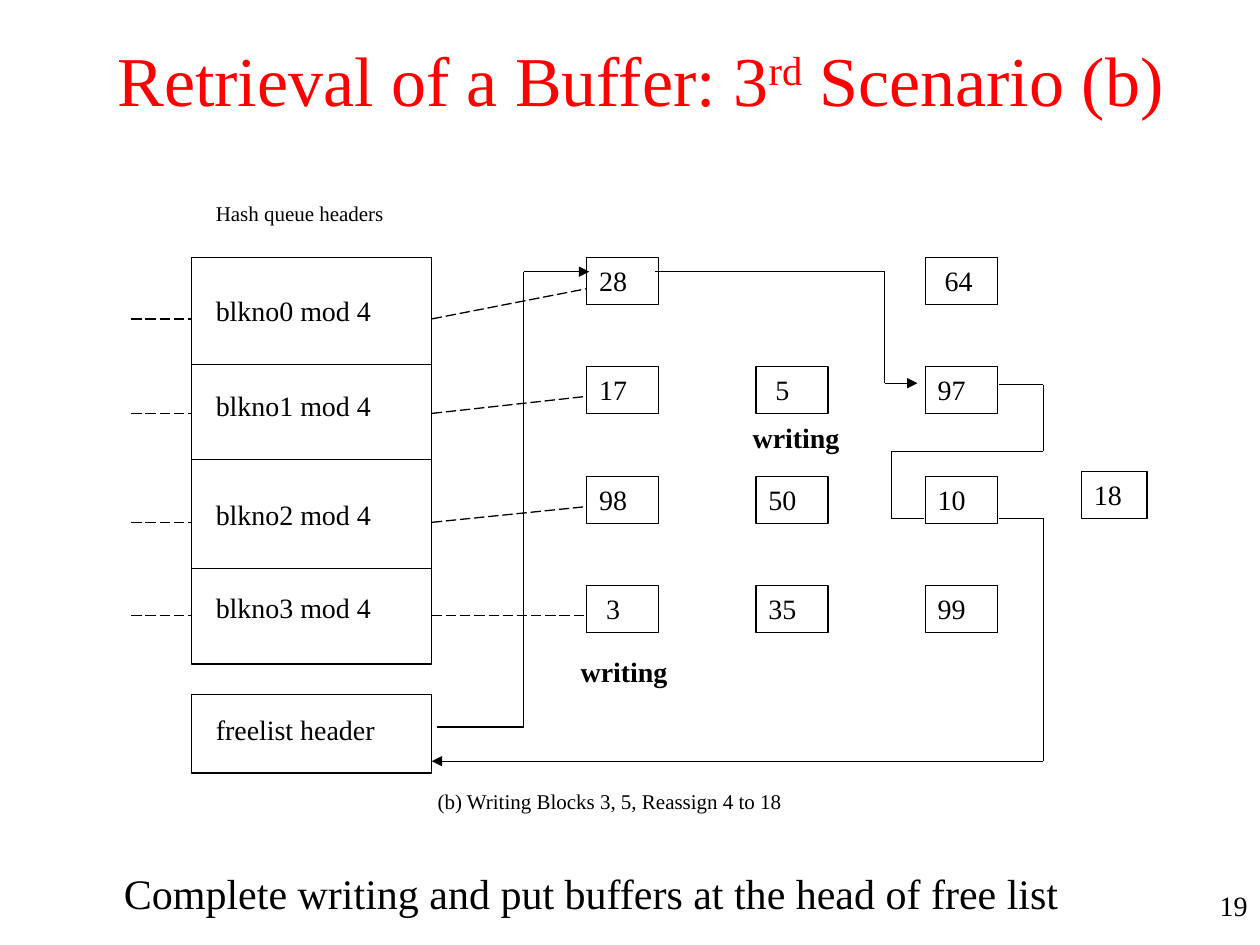
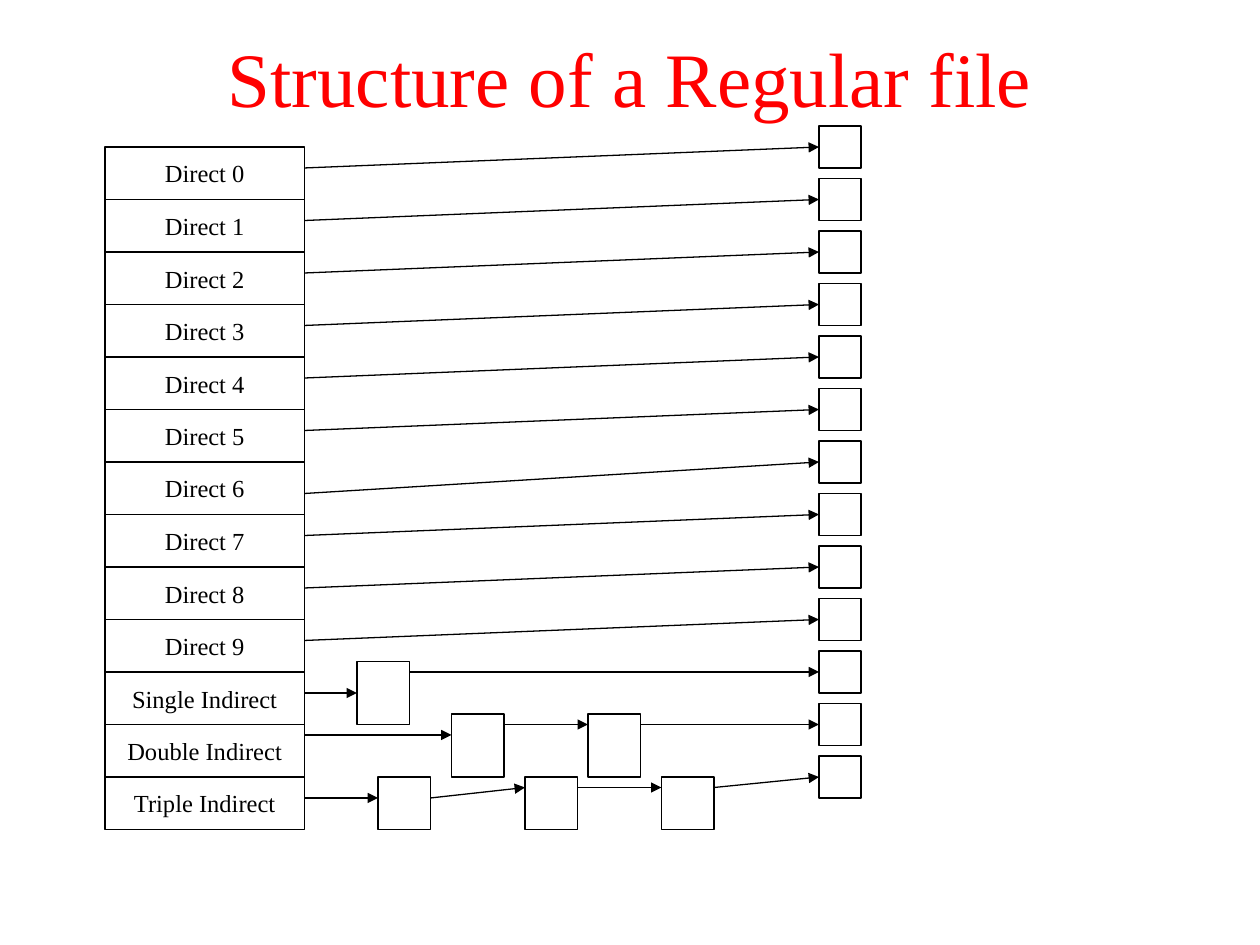
from dataclasses import dataclass

from lxml import etree
from pptx import Presentation
from pptx import util as u
from pptx.dml.color import RGBColor
from pptx.enum import dml, shapes, text
from pptx.oxml.ns import qn

EMU_PER_PX = 9525  # 96 px to the inch


@dataclass(frozen=True)
class Theme:
    font: str = "Times New Roman"
    ink: RGBColor = RGBColor(0, 0, 0)
    title_color: RGBColor = RGBColor(255, 0, 0)
    line_width: float = 0.75
    long_title: int = 40
    title: int = 44
    statement: int = 24
    label: int = 16
    entry: int = 14
    caption: int = 12


THEME = Theme()
LEFT, CENTER, RIGHT = text.PP_ALIGN.LEFT, text.PP_ALIGN.CENTER, text.PP_ALIGN.RIGHT
TOP, MIDDLE = text.MSO_ANCHOR.TOP, text.MSO_ANCHOR.MIDDLE


# Shared helpers
def px(value):
    return u.Emu(value * EMU_PER_PX)


def apply_format(target, values):
    for name, value in values.items():
        setattr(target, name, value)


def add_run(paragraph, words, size, color=THEME.ink, bold=False, baseline=0):
    run = paragraph.add_run()
    run.text = words
    apply_format(run.font, {"name": THEME.font, "size": u.Pt(size), "bold": bold})
    run.font.color.rgb = color
    if baseline:
        run.font._element.set("baseline", str(baseline * 1000))


def write(shape, words, size, align=LEFT, anchor=TOP, wrap=True, bold=False):
    apply_format(shape.text_frame, {
        "word_wrap": wrap, "vertical_anchor": anchor,
        "auto_size": text.MSO_AUTO_SIZE.NONE})
    paragraph = shape.text_frame.paragraphs[0]
    paragraph.alignment = align
    add_run(paragraph, words, size, bold=bold)


def style_line(shape):
    shape.line.color.rgb = THEME.ink
    shape.line.width = u.Pt(THEME.line_width)


# Kinds of element
def add_title(slide, box, parts, size):
    title = slide.shapes.title
    apply_format(title, dict(zip(("left", "top", "width", "height"), map(px, box))))
    apply_format(title.text_frame, {
        "word_wrap": True, "vertical_anchor": MIDDLE,
        "auto_size": text.MSO_AUTO_SIZE.NONE})
    paragraph = title.text_frame.paragraphs[0]
    paragraph.alignment = CENTER
    for words, baseline in parts:
        add_run(paragraph, words, size, THEME.title_color, baseline=baseline)


def add_text(slide, box, words, size, **layout):
    write(slide.shapes.add_textbox(*map(px, box)), words, size, **layout)


def add_box(slide, box, words="", size=THEME.label, **layout):
    shape = slide.shapes.add_shape(shapes.MSO_SHAPE.RECTANGLE, *map(px, box))
    shape.shadow.inherit = False
    shape.fill.background()
    style_line(shape)
    if words:
        write(shape, words, size, **layout)


def add_line(slide, start, end, arrow=False, dashed=False):
    connector = slide.shapes.add_connector(
        shapes.MSO_CONNECTOR.STRAIGHT, *map(px, (*start, *end)))
    style_line(connector)
    if dashed:
        connector.line.dash_style = dml.MSO_LINE.LONG_DASH
    properties = connector._element.spPr
    if arrow:
        etree.SubElement(properties.find(qn("a:ln")), qn("a:tailEnd"), type="triangle")
    etree.SubElement(properties, qn("a:effectLst"))


def add_route(slide, points, arrow=True):
    last = len(points) - 2
    for index, (start, end) in enumerate(zip(points, points[1:])):
        add_line(slide, start, end, arrow=arrow and index == last)


# Slide 1: hash queues and free list
def build_buffer_slide(slide):
    add_title(slide, (66, 0, 844, 120),
              [("Retrieval of a Buffer: 3", 0), ("rd", 30), (" Scenario (b)", 0)],
              THEME.long_title)
    add_text(slide, (915, 672, 45, 48), "19", THEME.label, align=RIGHT)

    # Queue headers with their dashed links
    left, right = 146, 329
    add_box(slide, (left, 196, right - left, 310))
    for divider in (278, 350, 433):
        add_line(slide, (left, divider), (right, divider))
    first_column, column_pitch = 447, 129
    links = [(243, 220), (315, 302), (398, 386), (469, 469)]
    for queue, (header_y, buffer_y) in enumerate(links):
        add_line(slide, (100, header_y), (left, header_y), dashed=True)
        add_line(slide, (right, header_y), (first_column, buffer_y), dashed=True)
        add_text(slide, (155, header_y - 24, 161, 36), f"blkno{queue} mod 4", THEME.label)
    add_text(slide, (155, 148, 147, 29), "Hash queue headers", THEME.caption, wrap=False)

    # Buffers in each queue
    queues = [("28", "", " 64"), ("17", " 5", "97"), ("98", "50", "10"), (" 3", "35", "99")]
    for row, buffers in enumerate(queues):
        for column, number in enumerate(buffers):
            if number:
                add_box(slide, (first_column + column * column_pitch,
                                196 + row * 167 // 2, 55, 36), number)
    add_box(slide, (824, 359, 50, 36), "18")
    for x, y in ((564, 316), (433, 494)):
        add_text(slide, (x, y, 85, 36), "writing", THEME.label, wrap=False, bold=True)

    # Free list
    add_box(slide, (left, 529, right - left, 60))
    add_text(slide, (155, 538, 141, 36), "freelist header", THEME.label, wrap=False)
    add_route(slide, [(333, 554), (399, 554), (399, 207), (449, 207)])
    add_route(slide, [(499, 207), (674, 207), (674, 292), (699, 292)])
    add_route(slide, [(761, 293), (795, 293), (795, 344), (679, 344), (679, 395),
                      (704, 395)], arrow=False)
    add_route(slide, [(761, 395), (795, 395), (795, 580), (right, 580)])

    # Captions
    add_text(slide, (324, 596, 294, 30), "(b) Writing Blocks 3, 5, Reassign 4 to 18",
             THEME.caption)
    add_text(slide, (85, 656, 768, 48),
             "Complete writing and put buffers at the head of free list", THEME.statement)


# Slide 2: inode entries and data blocks
def build_file_slide(slide):
    add_title(slide, (48, 29, 864, 59), [("Structure of a Regular file", 0)], THEME.title)
    pitch, entry_left, entry_width, block_left = 40, 80, 152, 624
    entry_right = entry_left + entry_width
    direct = [f"Direct {number}" for number in range(10)]
    entries = direct + ["Single Indirect", "Double Indirect", "Triple Indirect"]
    for row, name in enumerate(entries):
        offset = row * pitch
        add_box(slide, (entry_left, 112 + offset, entry_width, pitch), name, THEME.entry,
                align=CENTER, anchor=MIDDLE, wrap=False)
        add_box(slide, (block_left, 96 + offset, 32, 32))

    # Direct entries
    for row in range(len(direct)):
        start_y = 128 + row * pitch + (8 if row == 6 else 0)
        add_line(slide, (entry_right, start_y), (block_left, 112 + row * pitch), arrow=True)

    # Indirect entries: index block positions, top, height, and arrow heights
    index_width = 40
    chains = [
        ((272,), 504, 48, [(528, 528), (512, 512)]),
        ((344, 448), 544, 48, [(560, 560), (552, 552), (552, 552)]),
        ((288, 400, 504), 592, 40, [(608, 608), (608, 600), (600, 600), (600, 592)]),
    ]
    for lefts, top, height, arrows in chains:
        for left in lefts:
            add_box(slide, (left, top, index_width, height))
        starts = [entry_right] + [left + index_width for left in lefts]
        ends = [*lefts, block_left]
        for start_x, end_x, (start_y, end_y) in zip(starts, ends, arrows):
            add_line(slide, (start_x, start_y), (end_x, end_y), arrow=True)


def main():
    presentation = Presentation()
    apply_format(presentation, {"slide_width": px(960), "slide_height": px(720)})
    title_only = presentation.slide_layouts[5]
    for build in (build_buffer_slide, build_file_slide):
        build(presentation.slides.add_slide(title_only))
    presentation.save("out.pptx")


if __name__ == "__main__":
    main()
